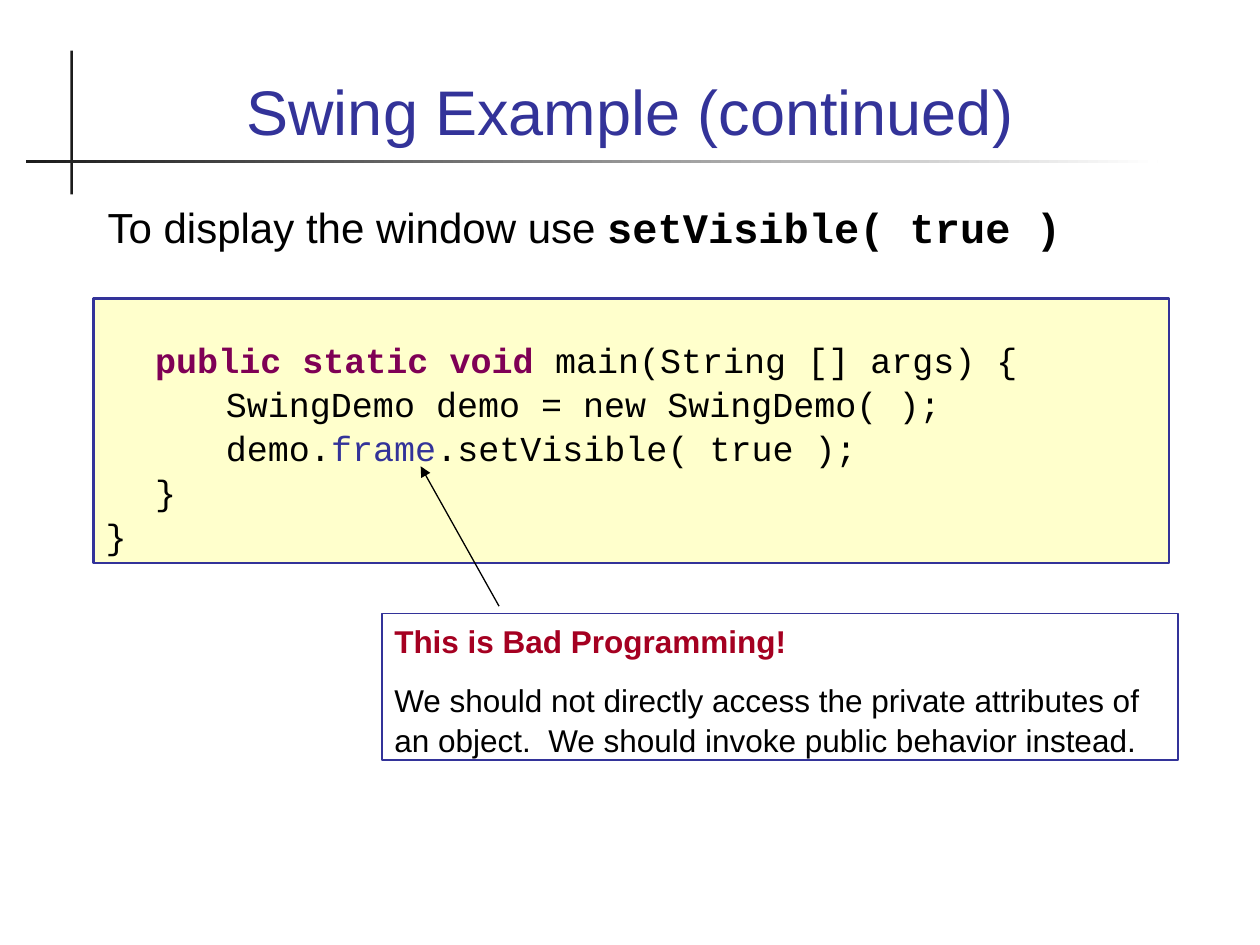
from lxml import etree
from pptx import Presentation
from pptx import util as u
from pptx.dml.color import RGBColor
from pptx.enum import shapes, text
from pptx.oxml.ns import qn

NAVY = RGBColor(0x33, 0x33, 0x99)
BLACK = RGBColor(0, 0, 0)
CHARCOAL = RGBColor(0x1C, 0x1C, 0x1C)
WHITE = RGBColor(0xFF, 0xFF, 0xFF)
CREAM = RGBColor(0xFF, 0xFF, 0xCC)
PURPLE = RGBColor(0x7F, 0x00, 0x55)
RED = RGBColor(0xA5, 0x00, 0x21)
SANS, MONO = "Arial", "Courier New"


def add_box(left, top, width, height):
    box = slide.shapes.add_shape(shapes.MSO_SHAPE.RECTANGLE,
                                 u.Cm(left), u.Cm(top), u.Cm(width), u.Cm(height))
    box.shadow.inherit = False
    box.line.fill.background()
    return box


def add_words(paragraph, words, size, font=SANS, color=BLACK, bold=False):
    paragraph.alignment = text.PP_ALIGN.LEFT
    run = paragraph.add_run()
    run.text = words
    run.font.size = u.Pt(size)
    run.font.name = font
    run.font.bold = bold
    run.font.color.rgb = color


deck = Presentation()
deck.slide_width, deck.slide_height = u.Cm(25.4), u.Cm(19.05)
slide = deck.slides.add_slide(deck.slide_layouts[5])

# Crossed rules beside and under the title
upright = add_box(1.42, 1.02, 0.05, 2.9)
upright.fill.solid()
upright.fill.fore_color.rgb = CHARCOAL
underline = add_box(0.53, 3.23, 22.81, 0.05)
underline.fill.gradient()
underline.fill.gradient_angle = 0
for stop, color in zip(underline.fill.gradient_stops, (CHARCOAL, WHITE)):
    stop.color.rgb = color

# Title
title = slide.shapes.title
title.left, title.top, title.width, title.height = u.Cm(1.7), u.Cm(0.71), u.Cm(22), u.Cm(2.41)
title.text_frame.text = "Swing Example (continued)"
title.text_frame.vertical_anchor = text.MSO_ANCHOR.BOTTOM
heading = title.text_frame.paragraphs[0]
heading.alignment = text.PP_ALIGN.CENTER
heading.runs[0].font.size = u.Pt(36)
heading.runs[0].font.name = SANS
heading.runs[0].font.color.rgb = NAVY

# Introductory sentence
intro = slide.shapes.add_textbox(u.Cm(1.92), u.Cm(3.89), u.Cm(21.96), u.Cm(1.96))
intro.text_frame.word_wrap = True
sentence = intro.text_frame.paragraphs[0]
sentence.line_spacing = 1.05
add_words(sentence, "To display the window use ", 24)
add_words(sentence, "setVisible( true )", 24, MONO, bold=True)

# Code listing, resting on the bottom of its box
listing = add_box(1.88, 6.02, 21.69, 5.33)
listing.fill.solid()
listing.fill.fore_color.rgb = CREAM
listing.line.color.rgb = NAVY
listing.line.width = u.Pt(1.5)
listing.text_frame.word_wrap = True
listing.text_frame.vertical_anchor = text.MSO_ANCHOR.BOTTOM
code = [
    [("\tpublic static void", PURPLE), (" main(String [] args) {", BLACK)],
    [("\t\t SwingDemo demo = new SwingDemo( );", BLACK)],
    [("\t\t demo.", BLACK), ("frame", NAVY), (".setVisible( true );", BLACK)],
    [("\t}", BLACK)],
    [("}", BLACK)],
]
for number, pieces in enumerate(code):
    frame = listing.text_frame
    line = frame.add_paragraph() if number else frame.paragraphs[0]
    line.line_spacing = 1.05
    tabs = etree.SubElement(line._p.get_or_add_pPr(), qn("a:tabLst"))
    for stop in (1, 2):
        etree.SubElement(tabs, qn("a:tab"), pos=str(u.Cm(stop)), algn="l")
    for words, color in pieces:
        add_words(line, words, 20, MONO, color, bold=color == PURPLE)

# Warning about the code
warning = add_box(7.7, 12.37, 16.05, 2.95)
warning.fill.background()
warning.line.color.rgb = NAVY
warning.line.width = u.Pt(0.75)
warning.text_frame.word_wrap = True
warning.text_frame.vertical_anchor = text.MSO_ANCHOR.TOP
verdict = warning.text_frame.paragraphs[0]
add_words(verdict, "This is Bad Programming!", 18, color=RED, bold=True)
advice = warning.text_frame.add_paragraph()
advice.space_before = u.Pt(11.2)
add_words(advice, "We should not directly access the private attributes of an object.  "
                  "We should invoke public behavior instead.", 18)
for paragraph in (verdict, advice):
    paragraph.line_spacing = 1.05

# Arrow from the warning to the exposed attribute
arrow = slide.shapes.add_connector(shapes.MSO_CONNECTOR.STRAIGHT,
                                   u.Cm(10.06), u.Cm(12.22), u.Cm(8.48), u.Cm(9.4))
arrow.line.color.rgb = BLACK
arrow.line.width = u.Pt(0.75)
etree.SubElement(arrow.line._get_or_add_ln(), qn("a:tailEnd"), type="triangle")
etree.SubElement(arrow._element.spPr, qn("a:effectLst"))

deck.save("out.pptx")
